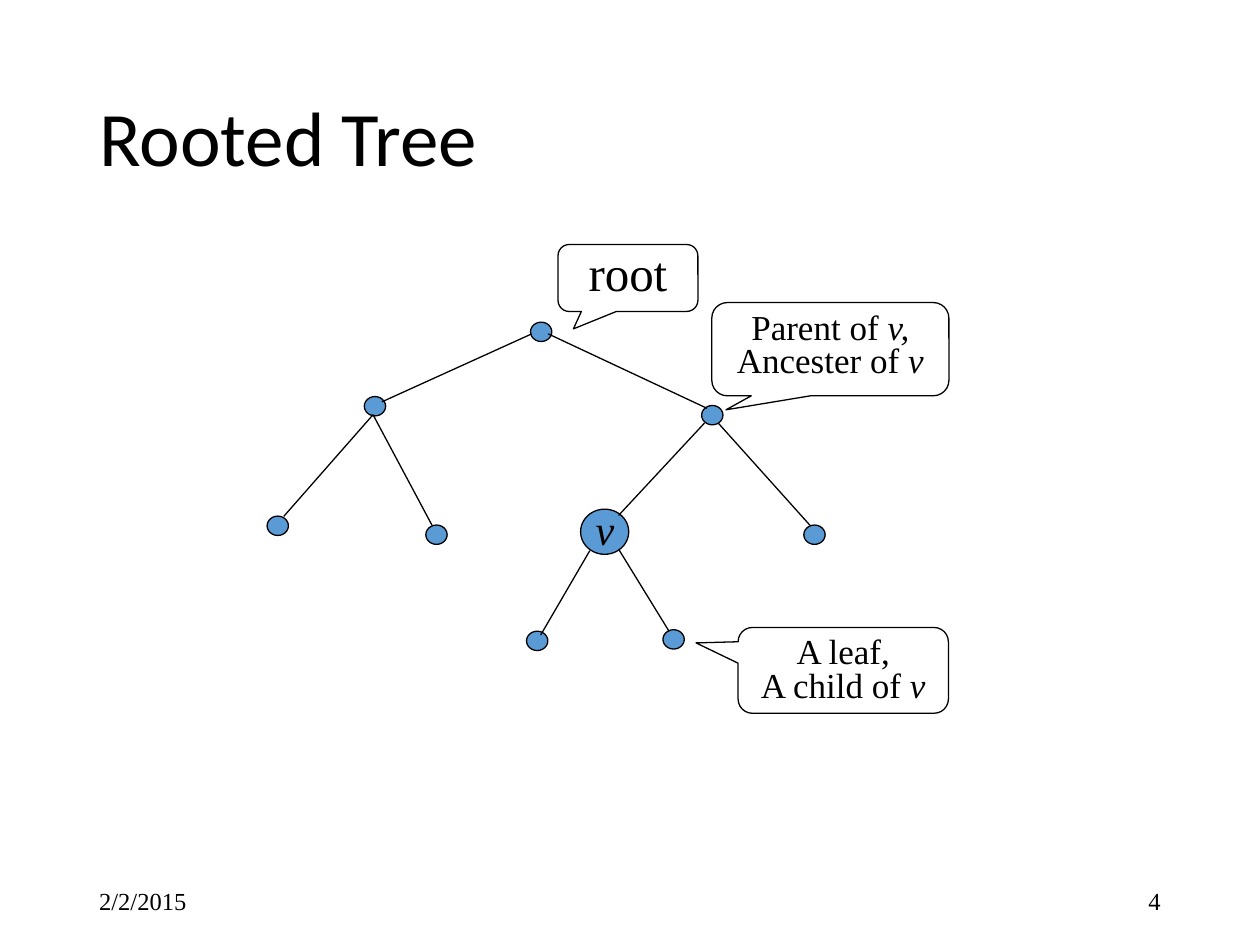
from lxml import etree
from pptx import Presentation, util as u
from pptx.dml import color
from pptx.enum import shapes, text
from pptx.oxml import ns

BLACK = "000000"
NODE_FILL = "5B9BD5"
SERIF = "Times New Roman"


def rgb(value):
    """Turn a hex string into a colour."""
    return color.RGBColor.from_string(value)


class TreeSlide:
    """Holds the drawing style and the slide being filled."""

    def __init__(self, slide, line_width=0.75):
        """Keep the slide and the outline width."""
        self.slide = slide
        self.line_width = u.Pt(line_width)

    def outline(self, line):
        """Apply the common black outline."""
        line.color.rgb = rgb(BLACK)
        line.width = self.line_width

    def fill_text(self, frame, lines, size, align, anchor, spacing=1.0, font=SERIF):
        """Put lines of (text, italic) pieces into a text frame."""
        frame.word_wrap = True
        frame.vertical_anchor = anchor
        for number, pieces in enumerate(lines):
            paragraph = frame.add_paragraph() if number else frame.paragraphs[0]
            paragraph.alignment = align
            paragraph.line_spacing = spacing
            paragraph.font.size = u.Pt(size)
            paragraph.font.name = font
            paragraph.font.color.rgb = rgb(BLACK)
            for words, italic in pieces:
                run = paragraph.add_run()
                run.text = words
                run.font.italic = italic

    def title(self, words, left, top, width, height):
        """Place and format the title placeholder."""
        heading = self.slide.shapes.title
        heading.left, heading.top = u.Cm(left), u.Cm(top)
        heading.width, heading.height = u.Cm(width), u.Cm(height)
        self.fill_text(heading.text_frame, [[(words, False)]], 44, text.PP_ALIGN.LEFT,
                       text.MSO_ANCHOR.MIDDLE, 0.9, "Calibri")

    def label(self, words, left, top, width, height, size, italic=False,
              align=text.PP_ALIGN.LEFT, anchor=text.MSO_ANCHOR.MIDDLE):
        """Add a one-line text box."""
        box = self.slide.shapes.add_textbox(u.Cm(left), u.Cm(top), u.Cm(width), u.Cm(height))
        self.fill_text(box.text_frame, [[(words, italic)]], size, align, anchor)

    def node(self, x, y, width=0.43, height=0.39):
        """Add a tree node centred on a point."""
        dot = self.slide.shapes.add_shape(
            shapes.MSO_SHAPE.OVAL, u.Cm(x - width / 2), u.Cm(y - height / 2),
            u.Cm(width), u.Cm(height))
        dot.shadow.inherit = False
        dot.fill.solid()
        dot.fill.fore_color.rgb = rgb(NODE_FILL)
        self.outline(dot.line)

    def edge(self, *ends):
        """Add a straight tree edge."""
        branch = self.slide.shapes.add_connector(
            shapes.MSO_CONNECTOR.STRAIGHT, *(u.Cm(end) for end in ends))
        self.outline(branch.line)
        etree.SubElement(branch._element.spPr, ns.qn("a:effectLst"))

    def callout(self, lines, left, top, width, height, tip, size=20):
        """Add a rounded callout whose tip is relative to its centre."""
        bubble = self.slide.shapes.add_shape(
            shapes.MSO_SHAPE.ROUNDED_RECTANGULAR_CALLOUT,
            u.Cm(left), u.Cm(top), u.Cm(width), u.Cm(height))
        bubble.adjustments[0], bubble.adjustments[1] = tip
        bubble.shadow.inherit = False
        bubble.fill.background()
        self.outline(bubble.line)
        self.fill_text(bubble.text_frame, lines, size, text.PP_ALIGN.CENTER,
                       text.MSO_ANCHOR.TOP, 0.8)


def main():
    """Build the rooted tree slide."""
    deck = Presentation()
    deck.slide_width, deck.slide_height = u.Cm(25.4), u.Cm(19.05)
    tree = TreeSlide(deck.slides.add_slide(deck.slide_layouts[5]))

    tree.label("2/2/2015", 1.75, 17.65, 5.72, 1.02, 14)
    tree.label("4", 17.93, 17.65, 5.72, 1.02, 14, align=text.PP_ALIGN.RIGHT)
    tree.title("Rooted Tree", 1.75, 1.02, 21.9, 3.68)

    small_nodes = [(10.91, 6.69), (7.56, 8.19), (14.36, 8.37), (5.6, 10.6),
                   (8.8, 10.78), (16.42, 10.78), (10.83, 12.92), (13.58, 12.89)]
    for center in small_nodes:
        tree.node(*center)
    tree.node(12.19, 10.72, 0.97, 0.91)

    edges = [(10.72, 6.73, 7.7, 8.1), (7.52, 8.36, 5.72, 10.41),
             (7.52, 8.36, 8.71, 10.59), (11.05, 6.73, 14.25, 8.23),
             (14.2, 8.53, 12.47, 10.39), (14.48, 8.53, 16.33, 10.59),
             (11.89, 11.1, 10.9, 12.8), (12.47, 11.07, 13.49, 12.73)]
    for ends in edges:
        tree.edge(*ends)

    tree.callout([[("root", False)]], 11.25, 4.93, 2.82, 1.35, (-0.39, 0.76), 28)
    tree.label("v", 11.76, 10.03, 0.79, 1.27, 24, True, anchor=text.MSO_ANCHOR.TOP)
    tree.callout([[("Parent of ", False), ("v,", True)],
                  [("Ancester of", False), (" v", True)]],
                 14.35, 6.1, 4.78, 1.88, (-0.44, 0.65))
    tree.callout([[("A leaf,", False)], [("A child of ", False), ("v", True)]],
                 14.88, 12.65, 4.24, 1.73, (-0.7, -0.32))

    deck.save("out.pptx")


if __name__ == "__main__":
    main()
